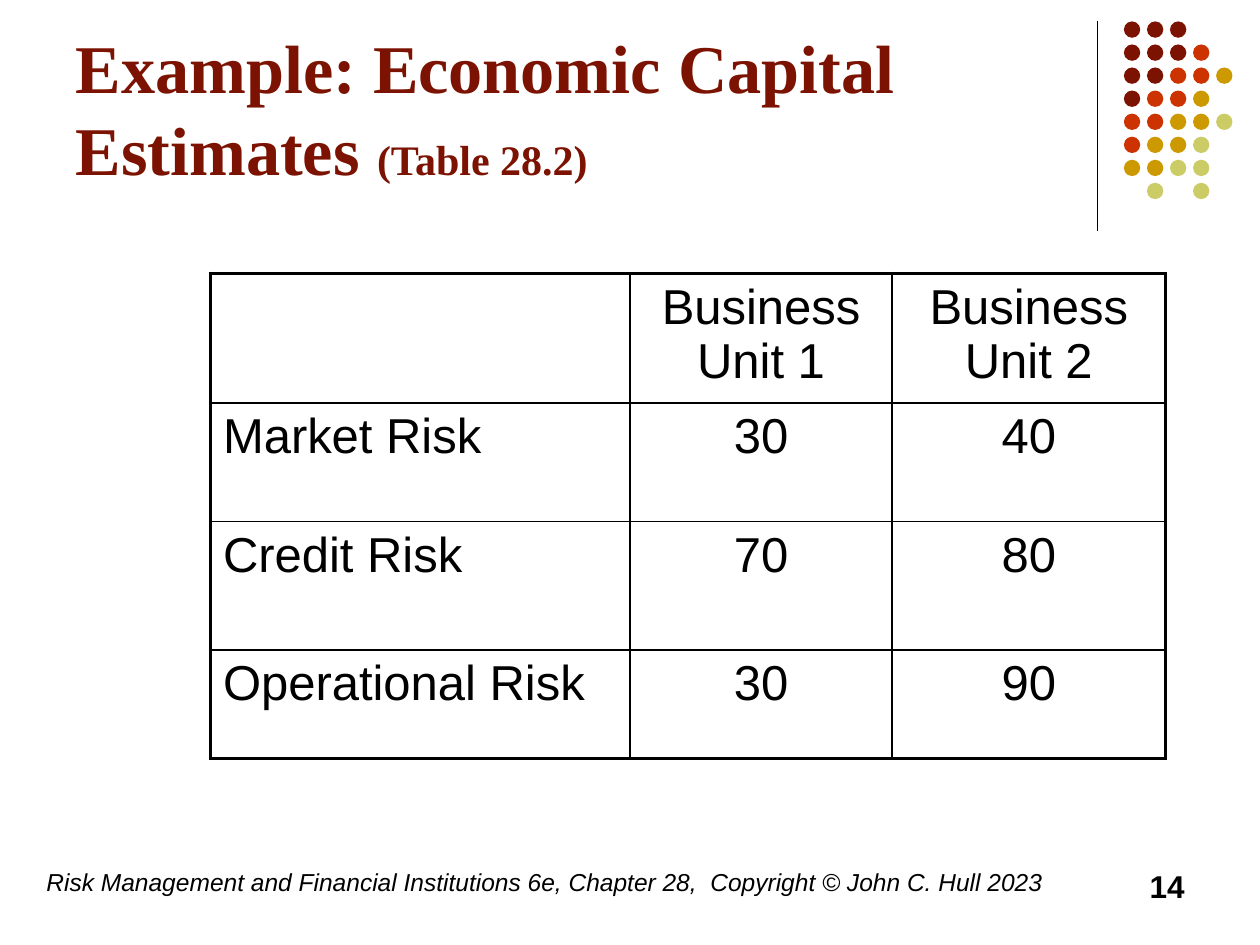
from lxml import etree
from pptx import Presentation
from pptx.dml.color import RGBColor
from pptx.enum import shapes, text
from pptx.oxml import ns
from pptx.util import Inches, Pt


def color(code):
    return RGBColor.from_string(code)


def write(par, words, size=28, font="Arial", tint="000000",
          bold=False, italic=False, align=text.PP_ALIGN.LEFT):
    par.alignment = align
    run = par.add_run()
    run.text = words
    run.font.size = Pt(size)
    run.font.name = font
    run.font.bold = bold
    run.font.italic = italic
    run.font.color.rgb = color(tint)


prs = Presentation()
prs.slide_width, prs.slide_height = Inches(10), Inches(7.5)
slide = prs.slides.add_slide(prs.slide_layouts[5])
items = slide.shapes

# Vertical rule
rule = items.add_connector(shapes.MSO_CONNECTOR.STRAIGHT, Inches(8.71), Inches(0.17),
                           Inches(8.71), Inches(1.83))
rule.line.color.rgb = color("000000")
rule.line.width = Pt(0.75)
etree.SubElement(rule._element.spPr, ns.qn("a:effectLst"))

# Dot grid: one letter per color, a space for a gap
tints = {"d": "7C1302", "r": "CC3300", "g": "CC9900", "l": "CCCC66"}
grid = ["ddd", "dddr", "ddrrg", "drrg", "rrggl", "rggl", "ggll", " l l"]
group = items.add_group_shape()
for row, marks in enumerate(grid):
    for col, mark in enumerate(marks):
        if mark == " ":
            continue
        dot = group.shapes.add_shape(
            shapes.MSO_SHAPE.OVAL, Inches(8.92 + col * 0.183),
            Inches(0.17 + row * 0.183), Inches(0.13), Inches(0.13))
        dot.shadow.inherit = False
        dot.fill.solid()
        dot.fill.fore_color.rgb = color(tints[mark])
        dot.line.fill.background()

# Title
title = items.title
title.left, title.top = Inches(0.5), Inches(0.13)
title.width, title.height = Inches(8.25), Inches(1.42)
frame = title.text_frame
frame.auto_size = text.MSO_AUTO_SIZE.NONE
frame.vertical_anchor = text.MSO_ANCHOR.BOTTOM
for words, size in [("Example: Economic Capital Estimates ", 39), ("(Table 28.2)", 24)]:
    write(frame.paragraphs[0], words, size=size, font="Times New Roman",
          tint="7C1302", bold=True)

# Table
data = [["", "Business Unit 1", "Business Unit 2"],
        ["Market Risk", "30", "40"],
        ["Credit Risk", "70", "80"],
        ["Operational Risk", "30", "90"]]
widths = [3.33, 2.08, 2.17]
heights = [1.03, 0.94, 1.02, 0.86]
table = items.add_table(len(heights), len(widths), Inches(1.67), Inches(2.17),
                        Inches(sum(widths)), Inches(sum(heights))).table
table.first_row = table.horz_banding = False
for col, width in zip(table.columns, widths):
    col.width = Inches(width)
for row, height in zip(table.rows, heights):
    row.height = Inches(height)

for r, line in enumerate(data):
    for c, words in enumerate(line):
        cell = table.cell(r, c)
        cell.fill.background()
        if words:
            write(cell.text_frame.paragraphs[0], words,
                  align=text.PP_ALIGN.CENTER if c else text.PP_ALIGN.LEFT)
        # Thick outer frame, thin inner lines
        outer = {"lnL": c == 0, "lnR": c == len(widths) - 1,
                 "lnT": r == 0, "lnB": r == len(heights) - 1}
        props = cell._tc.get_or_add_tcPr()
        for spot, (side, thick) in enumerate(outer.items()):
            edge = etree.Element(ns.qn("a:" + side), w=str(Pt(2.25 if thick else 1)))
            fill = etree.SubElement(edge, ns.qn("a:solidFill"))
            etree.SubElement(fill, ns.qn("a:srgbClr"), val="000000")
            props.insert(spot, edge)

# Footer and page number
notes = [
    (0.27, 8.27, "Risk Management and Financial Institutions 6e, Chapter 28,  "
     "Copyright © John C. Hull 2023", dict(size=14, italic=True)),
    (7.17, 2.33, "14", dict(size=18, bold=True, align=text.PP_ALIGN.RIGHT)),
]
for left, width, words, style in notes:
    box = items.add_textbox(Inches(left), Inches(6.83), Inches(width), Inches(0.5))
    box.text_frame.word_wrap = True
    write(box.text_frame.paragraphs[0], words, **style)

prs.save("out.pptx")
